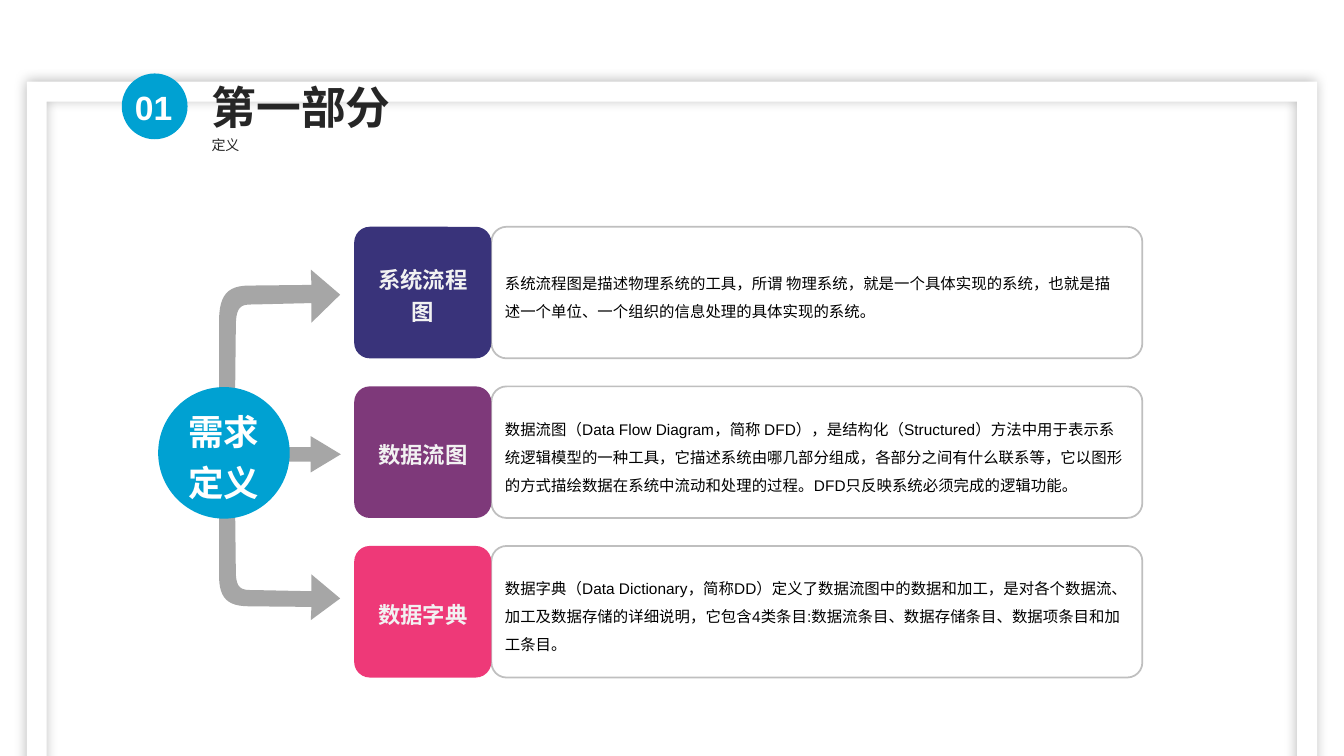
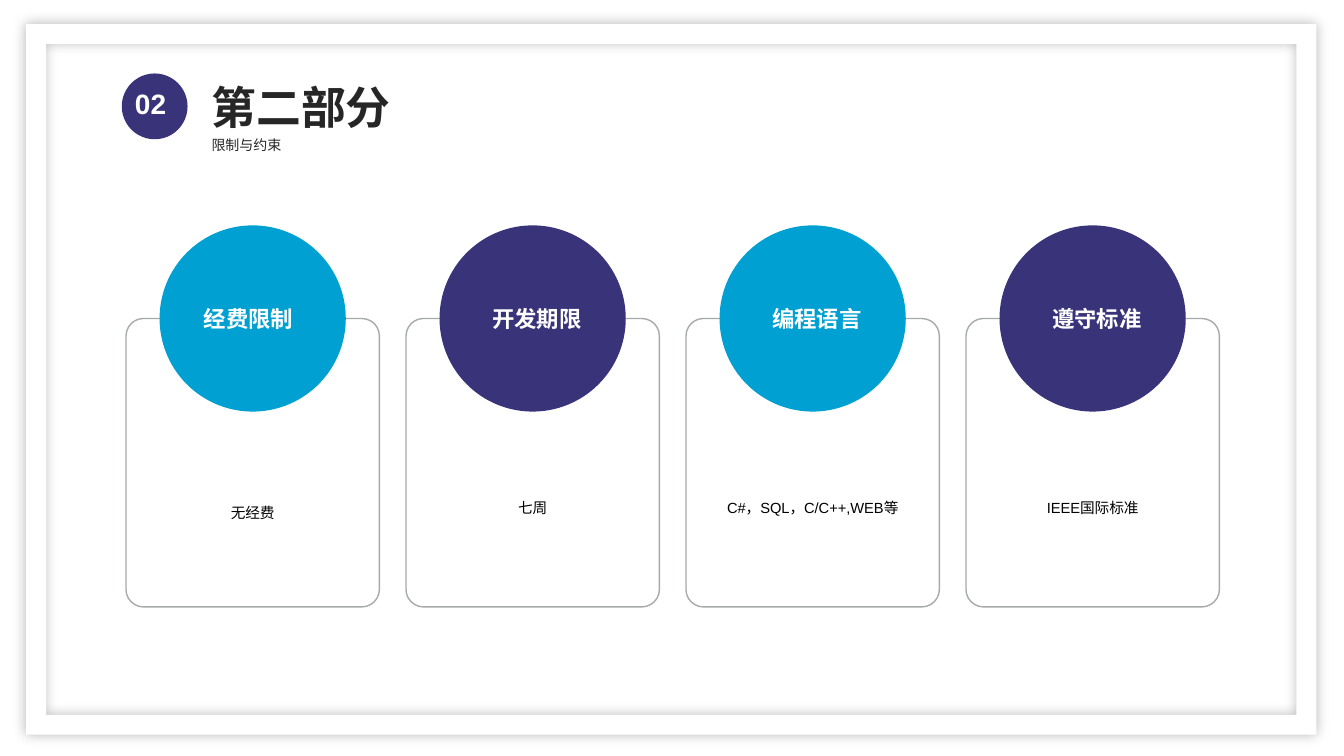
from lxml.etree import SubElement
from pptx import Presentation
from pptx.dml.color import RGBColor
from pptx.enum.lang import MSO_LANGUAGE_ID
from pptx.enum.shapes import MSO_SHAPE
from pptx.enum.text import MSO_ANCHOR, MSO_AUTO_SIZE, PP_ALIGN
from pptx.oxml.ns import qn
from pptx.util import Pt

FONT = "Arial"
WHITE = RGBColor(0xFF, 0xFF, 0xFF)
BLACK = RGBColor(0x00, 0x00, 0x00)
INK = RGBColor(0x26, 0x26, 0x26)
PALE = RGBColor(0xF2, 0xF2, 0xF2)
BLUE = RGBColor(0x00, 0xA1, 0xD2)
INDIGO = RGBColor(0x39, 0x33, 0x7A)
PURPLE = RGBColor(0x7E, 0x39, 0x7A)
PINK = RGBColor(0xEE, 0x39, 0x78)
ARROW_GRAY = RGBColor(0xA6, 0xA6, 0xA6)
PANEL_GRAY = RGBColor(0xBF, 0xBF, 0xBF)
CARD_GRAY = RGBColor(0xA6, 0xAA, 0xA9)

DEFINITIONS = [
    (INDIGO, "系统流程图",
     "系统流程图是描述物理系统的工具，所谓 物理系统，就是一个具体实现的系统，也就是描 述一个单位、一个组织的信息处理的具体实现的系统。"),
    (PURPLE, "数据流图",
     "数据流图（Data Flow Diagram，简称 DFD），是结构化（Structured）方法中用于表示系统逻辑模型的一种工具，"
     "它描述系统由哪几部分组成，各部分之间有什么联系等，它以图形的方式描绘数据在系统中流动和处理的过程。"
     "DFD只反映系统必须完成的逻辑功能。"),
    (PINK, "数据字典",
     "数据字典（Data Dictionary，简称DD）定义了数据流图中的数据和加工，是对各个数据流、加工及数据存储的详细说明，"
     "它包含4类条目:数据流条目、数据存储条目、数据项条目和加工条目。"),
]

CONSTRAINTS = [
    (BLUE, "经费限制", -3, "无经费", 3.5),
    (INDIGO, "开发期限", 3, "七周", 0),
    (BLUE, "编程语言", 3, "C#，SQL，C/C++,WEB等", 0),
    (INDIGO, "遵守标准", 3, "IEEE国际标准", 0),
]


def write(frame, text, size, color, bold=False, align=PP_ALIGN.LEFT,
          anchor=MSO_ANCHOR.TOP, spacing=None, before=None,
          insets=(7.2, 3.6), grow=False):
    frame.word_wrap = True
    frame.auto_size = MSO_AUTO_SIZE.SHAPE_TO_FIT_TEXT if grow else MSO_AUTO_SIZE.NONE
    frame.vertical_anchor = anchor
    frame.margin_left = frame.margin_right = Pt(insets[0])
    frame.margin_top = frame.margin_bottom = Pt(insets[1])
    paragraph = frame.paragraphs[0]
    paragraph.alignment = align
    if spacing is not None:
        paragraph.line_spacing = spacing
    if before is not None:
        paragraph.space_before = Pt(before)
    run = paragraph.add_run()
    run.text = text
    run.font.name = FONT
    run.font.size = Pt(size)
    run.font.bold = bold
    run.font.color.rgb = color
    run.font.language_id = MSO_LANGUAGE_ID.SIMPLIFIED_CHINESE


def paint(shape, fill=None, line=None, line_width=1):
    shape.shadow.inherit = False
    if fill is None:
        shape.fill.background()
    else:
        shape.fill.solid()
        shape.fill.fore_color.rgb = fill
    if line is None:
        shape.line.fill.background()
    else:
        shape.line.color.rgb = line
        shape.line.width = Pt(line_width)


def add_preset(slide, preset, box, adjustments=(), **colors):
    shape = slide.shapes.add_shape(preset, *map(Pt, box))
    for index, value in enumerate(adjustments):
        shape.adjustments[index] = value
    paint(shape, **colors)
    return shape


def add_label(slide, box, text, **style):
    write(slide.shapes.add_textbox(*map(Pt, box)).text_frame, text, **style)


def page_frame(slide, box):
    border = add_preset(slide, MSO_SHAPE.FRAME, box, [0.028], fill=WHITE)
    effects = border._element.spPr.find(qn("a:effectLst"))
    glow = SubElement(effects, qn("a:outerShdw"), blurRad=str(Pt(9)),
                      dist="0", dir="0", algn="ctr", rotWithShape="0")
    tint = SubElement(glow, qn("a:srgbClr"), val="000000")
    SubElement(tint, qn("a:alpha"), val="27000")


def heading(slide, left, top, number, number_size, color, title, subtitle):
    add_label(slide, (left + 57, top - 6.5, 230, 50), title, size=32,
              color=INK, bold=True, spacing=1.2, grow=True)
    add_label(slide, (left + 57, top + 35.5, 320, 24), subtitle, size=10,
              color=INK, spacing=Pt(18), grow=True)
    add_preset(slide, MSO_SHAPE.OVAL, (left, top, 47, 47), fill=color)
    add_label(slide, (left + 2.3, top + 5.8, 44.6, number_size * 1.2 + 7.2), number,
              size=number_size, color=WHITE, bold=True, grow=True)


def curve(start, first, second, end, steps=12):
    for step in range(1, steps + 1):
        t = step / steps
        u = 1 - t
        yield tuple(u**3 * a + 3 * u * u * t * b + 3 * u * t * t * c + t**3 * d
                    for a, b, c, d in zip(start, first, second, end))


def bent_arrow(slide, left, tip_y, stem_y, stretch):
    stem = (stem_y - tip_y) / stretch
    outline = [
        (11, stem), (12, 22),
        *curve((12, 22), (12, 7), (17, 7), (24.5, 7)),
        (66, 6), (66, 20), (86.5, 0), (65.5, -18), (66, -7),
        (21.5, -6.5),
        *curve((21.5, -6.5), (6, -6.5), (0.5, 0.5), (0, 17)),
        (0, stem),
    ]
    points = [(Pt(left + x), Pt(tip_y + y * stretch)) for x, y in outline]
    builder = slide.shapes.build_freeform(*points[0])
    builder.add_line_segments(points[1:], close=True)
    paint(builder.convert_to_shape(), fill=ARROW_GRAY)


def topic_hub(slide, box, text):
    left, top, width, height = box
    middle = top + height / 2
    bent_arrow(slide, left + 43.5, middle + 104, middle, -0.86)
    add_preset(slide, MSO_SHAPE.RIGHT_ARROW, (left + 28, middle - 12, 102.5, 26),
               [0.4, 0.83], fill=ARROW_GRAY)
    bent_arrow(slide, left + 43.5, middle - 113, middle, 1)
    hub = add_preset(slide, MSO_SHAPE.OVAL, box, fill=BLUE)
    write(hub.text_frame, text, size=25.3, color=WHITE, bold=True,
          align=PP_ALIGN.CENTER, anchor=MSO_ANCHOR.MIDDLE, spacing=1.2,
          insets=(6.5, 3.5))


def definition_row(slide, box, color, term, explanation):
    left, top, width, height = box
    term_width = 98
    panel = add_preset(slide, MSO_SHAPE.ROUNDED_RECTANGLE,
                       (left + term_width, top, width - term_width, height),
                       [0.115], line=PANEL_GRAY, line_width=1.25)
    write(panel.text_frame, explanation, size=11, color=BLACK,
          anchor=MSO_ANCHOR.MIDDLE, spacing=Pt(20), insets=(6.5, 3.5))
    tile = add_preset(slide, MSO_SHAPE.ROUNDED_RECTANGLE,
                      (left, top, term_width, height), [0.119], fill=color)
    write(tile.text_frame, term, size=16, color=PALE, bold=True,
          align=PP_ALIGN.CENTER, anchor=MSO_ANCHOR.MIDDLE, spacing=1.2,
          insets=(6.5, 3.5))


def constraint_card(slide, box, color, caption, caption_shift, detail, detail_drop):
    left, top, width, height = box
    disc = 133
    disc_left = left + (width - disc) / 2
    add_preset(slide, MSO_SHAPE.ROUNDED_RECTANGLE, box, [0.069], line=CARD_GRAY)
    add_preset(slide, MSO_SHAPE.OVAL, (disc_left, top - disc / 2, disc, disc), fill=color)
    add_label(slide, (disc_left + caption_shift, top - 22.5, disc, 45), caption,
              size=16, color=WHITE, bold=True, align=PP_ALIGN.CENTER,
              anchor=MSO_ANCHOR.MIDDLE, before=3.2, insets=(0, 0))
    detail_width = 142
    add_label(slide, (left + (width - detail_width) / 2, top + 88 + detail_drop,
                      detail_width, 89), detail,
              size=10.5, color=BLACK, align=PP_ALIGN.CENTER,
              anchor=MSO_ANCHOR.MIDDLE, spacing=Pt(18), before=2.1, insets=(9.4, 5))


def definition_slide(slide):
    page_frame(slide, (19.2, 58.3, 921.6, 507.6))
    heading(slide, 87, 52.5, "01", 24, BLUE, "第一部分", "定义")
    for index, definition in enumerate(DEFINITIONS):
        definition_row(slide, (253, 162 + 114 * index, 563, 94), *definition)
    topic_hub(slide, (113, 276.5, 94, 94), "需求定义")


def constraint_slide(slide):
    page_frame(slide, (18.7, 17.2, 921.6, 507.6))
    heading(slide, 87, 52.5, "02", 20, INDIGO, "第二部分", "限制与约束")
    for index, constraint in enumerate(CONSTRAINTS):
        constraint_card(slide, (90 + 200 * index, 227.5, 181, 206), *constraint)


def main():
    deck = Presentation()
    deck.slide_width = Pt(960)
    deck.slide_height = Pt(540)
    blank = deck.slide_layouts[6]
    for fill_slide in (definition_slide, constraint_slide):
        fill_slide(deck.slides.add_slide(blank))
    deck.save("out.pptx")


if __name__ == "__main__":
    main()
